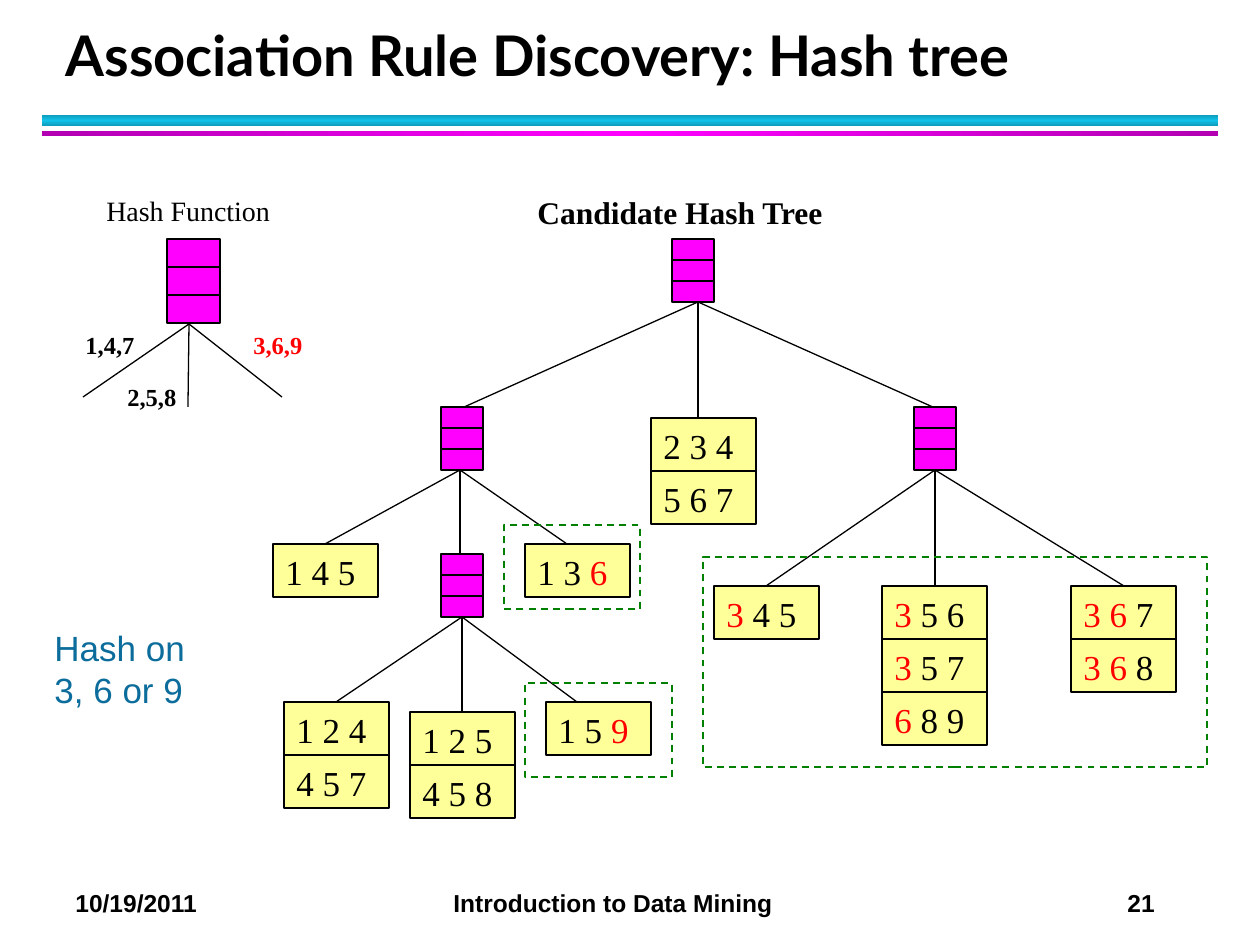
from copy import deepcopy

from lxml import etree
from pptx import Presentation
from pptx import util as u
from pptx.dml.color import RGBColor
from pptx.enum import dml, shapes, text
from pptx.oxml.ns import qn

PX = 914400 / 126
BLACK = RGBColor(0x00, 0x00, 0x00)
RED = RGBColor(0xFF, 0x00, 0x00)
MAGENTA = RGBColor(0xFF, 0x00, 0xFF)
PURPLE = RGBColor(0xB2, 0x00, 0xB2)
CYAN = RGBColor(0x12, 0xC2, 0xE9)
TEAL = RGBColor(0x0E, 0x9B, 0xBA)
YELLOW = RGBColor(0xFF, 0xFF, 0x99)
GREEN = RGBColor(0x00, 0x80, 0x00)
BLUE = RGBColor(0x0C, 0x6D, 0x9C)
SERIF, SANS = "Times New Roman", "Arial"

TITLE = "Association Rule Discovery: Hash tree"
BANDS = [((42, 115, 1176, 11), TEAL, CYAN, 90), ((42, 131, 1176, 5), PURPLE, MAGENTA, 0)]
FOOTER = "10/19/2011\tIntroduction to Data Mining\t21"
FOOTER_TABS = [378, 1052]

BRANCHES = [
    ((698, 302), [(462, 408), (698, 418), (935, 408)]),
    ((460, 470), [(325, 544), (460, 554), (567, 544)]),
    ((935, 470), [(766, 586), (935, 586), (1124, 586)]),
    ((462, 617), [(336, 702), (462, 712), (577, 702)]),
    ((189, 324), [(83, 397), (188, 407), (282, 397)]),
]
NODES = [(441, 407, 42, 63), (914, 407, 42, 63), (441, 554, 42, 63),
         (672, 239, 42, 63), (167, 239, 53, 84)]
LEAF_W, LEAF_H = 105, 53
LEAVES = [
    (546, 702, [("1 5 ", "9", "")]),
    (273, 544, [("1 4 5", "", "")]),
    (525, 544, [("1 3 ", "6", "")]),
    (714, 586, [("", "3", " 4 5")]),
    (1071, 586, [("", "3 6", " 7"), ("", "3 6", " 8")]),
    (882, 586, [("", "3", " 5 6"), ("", "3", " 5 7"), ("", "6", " 8 9")]),
    (651, 418, [("2 3 4", "", ""), ("5 6 7", "", "")]),
    (284, 702, [("1 2 4", "", ""), ("4 5 7", "", "")]),
    (410, 712, [("1 2 5", "", ""), ("4 5 8", "", "")]),
]
LABELS = [
    ("1,4,7", (73, 324, 74, 43), 14, SERIF, True, RED and BLACK, False),
    ("2,5,8", (115, 376, 74, 43), 14, SERIF, True, BLACK, False),
    ("3,6,9", (241, 324, 74, 43), 14, SERIF, True, RED, False),
    ("Hash Function", (94, 187, 189, 47), 16, SERIF, False, BLACK, False),
    ("Candidate Hash Tree", (525, 187, 314, 50), 18, SERIF, True, BLACK, False),
    ("Hash on 3, 6 or 9", (42, 620, 158, 97), 20, SANS, False, BLUE, True),
]
LABELS[0] = LABELS[0][:5] + (BLACK, False)
HIGHLIGHTS = [(525, 683, 147, 94), (703, 557, 504, 210), (504, 525, 136, 84)]


def px(*values):
    return [round(v * PX) for v in values]


def style(p, size, font, bold, color):
    p.font.size, p.font.name, p.font.bold = u.Pt(size), font, bold
    p.font.color.rgb = color


def add_rect(s, box, fill=None, line=None, width=0.75):
    sp = s.shapes.add_shape(shapes.MSO_SHAPE.RECTANGLE, *px(*box))
    sp.shadow.inherit = False
    if fill is None:
        sp.fill.background()
    else:
        sp.fill.solid()
        sp.fill.fore_color.rgb = fill
    if line is None:
        sp.line.fill.background()
    else:
        sp.line.color.rgb, sp.line.width = line, u.Pt(width)
    return sp


def add_line(s, start, end):
    c = s.shapes.add_connector(shapes.MSO_CONNECTOR.STRAIGHT, *px(*start, *end))
    c.line.color.rgb, c.line.width = BLACK, u.Pt(0.75)
    etree.SubElement(c._element.spPr, qn("a:effectLst"))


def add_band(s, box, edge, middle, angle):
    sp = add_rect(s, box)
    sp.fill.gradient()
    sp.fill.gradient_angle = angle
    stops = sp._element.spPr.find(".//" + qn("a:gsLst"))
    stops.insert(1, deepcopy(stops[0]))
    for stop, color, pos in zip(sp.fill.gradient_stops, (edge, middle, edge), (0, 0.5, 1)):
        stop.color.rgb, stop.position = color, pos


def add_node(s, box):
    x, y, w, h = box
    add_rect(s, box, MAGENTA, BLACK)
    for i in (1, 2):
        row = y + h * i / 3
        add_line(s, (x, row), (x + w, row))


def add_leaf(s, x, y, parts):
    sp = add_rect(s, (x, y, LEAF_W, LEAF_H), YELLOW, BLACK)
    tf = sp.text_frame
    tf.word_wrap = False
    tf.vertical_anchor = text.MSO_ANCHOR.TOP
    p = tf.paragraphs[0]
    p.alignment = text.PP_ALIGN.LEFT
    p.font.size, p.font.name = u.Pt(20), SERIF
    for part, color in zip(parts, (BLACK, RED, BLACK)):
        if part:
            r = p.add_run()
            r.text = part
            r.font.color.rgb = color


def add_label(s, label, box, size, font, bold, color, wrap, tabs=()):
    tf = s.shapes.add_textbox(*px(*box)).text_frame
    tf.word_wrap = wrap
    p = tf.paragraphs[0]
    p.text = label
    if tabs:
        tab_list = etree.SubElement(p._p.get_or_add_pPr(), qn("a:tabLst"))
        for pos in px(*tabs):
            etree.SubElement(tab_list, qn("a:tab"), pos=str(pos), algn="l")
    style(p, size, font, bold, color)


def add_title(s):
    sp = s.shapes.title
    sp.left, sp.top, sp.width, sp.height = px(53, 21, 1142, 73)
    tf = sp.text_frame
    tf.text = TITLE
    tf.auto_size = text.MSO_AUTO_SIZE.NONE
    tf.vertical_anchor = text.MSO_ANCHOR.BOTTOM
    p = tf.paragraphs[0]
    p.alignment, p.line_spacing = text.PP_ALIGN.LEFT, u.Pt(36)
    style(p, 32, "Lato", True, BLACK)


def main():
    prs = Presentation()
    prs.slide_width, prs.slide_height = u.Inches(10), u.Inches(7.5)
    s = prs.slides.add_slide(prs.slide_layouts[5])
    add_title(s)
    for band in BANDS:
        add_band(s, *band)
    for apex, ends in BRANCHES:
        for end in ends:
            add_line(s, apex, end)
    for box in NODES:
        add_node(s, box)
    for x, y, rows in LEAVES:
        for i, parts in enumerate(rows):
            add_leaf(s, x, y + i * LEAF_H, parts)
    for label in LABELS:
        add_label(s, *label)
    for box in HIGHLIGHTS:
        add_rect(s, box, None, GREEN, 1).line.dash_style = dml.MSO_LINE.DASH
    add_label(s, FOOTER, (63, 882, 1176, 43), 14, SANS, True, BLACK, True, FOOTER_TABS)
    prs.save("out.pptx")


if __name__ == "__main__":
    main()
